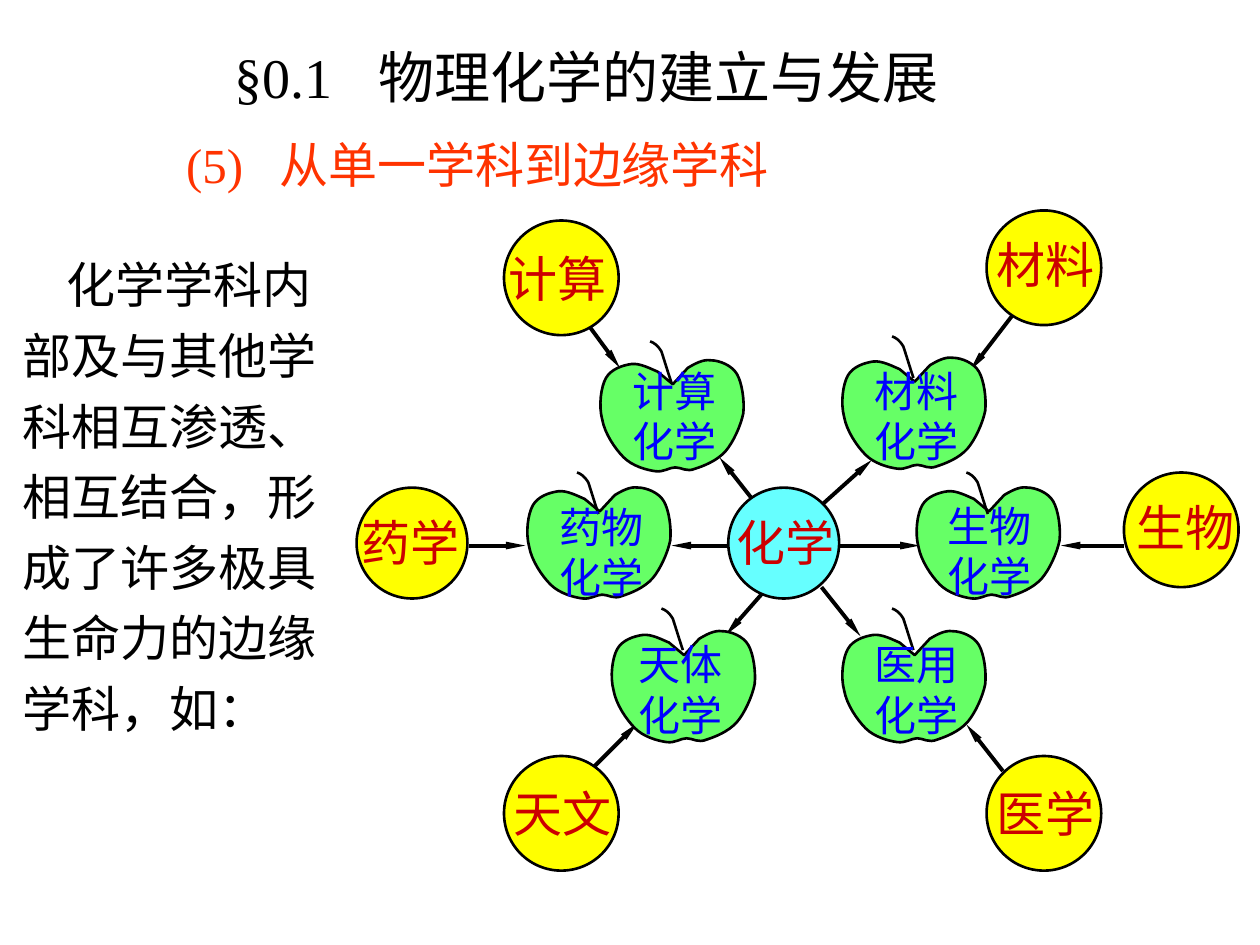
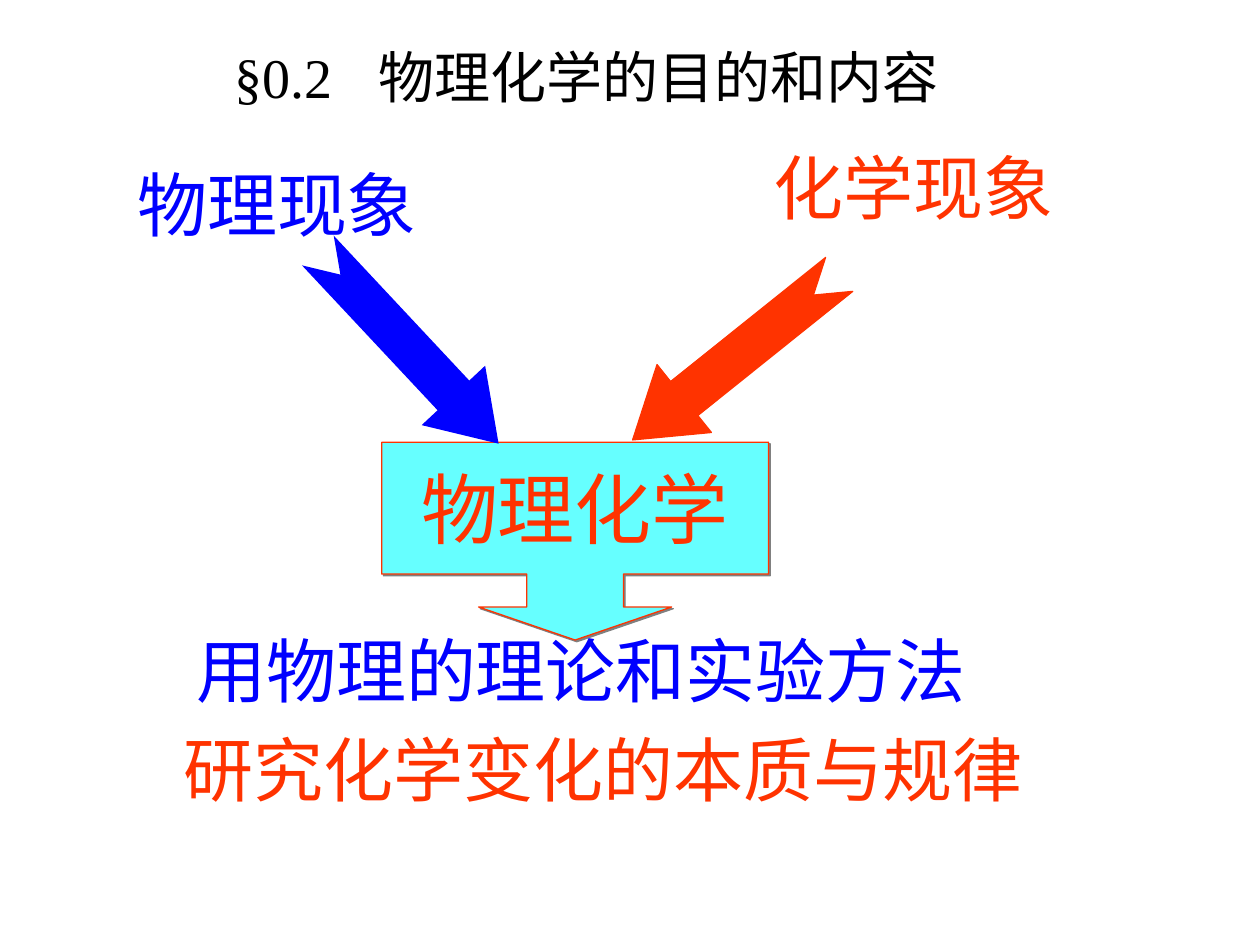
from lxml import etree
from pptx import Presentation
from pptx.dml.color import RGBColor
from pptx.enum.shapes import MSO_CONNECTOR as Line, MSO_SHAPE as Shape
from pptx.enum.text import MSO_ANCHOR as Anchor, MSO_AUTO_SIZE as Fit, PP_ALIGN as Align
from pptx.oxml.ns import qn
from pptx.util import Inches, Pt

BLACK = RGBColor(0, 0, 0)
RED = RGBColor(0xCC, 0, 0)
ORANGE = RGBColor(0xFF, 0x33, 0)
BLUE = RGBColor(0, 0, 0xFF)
YELLOW = RGBColor(0xFF, 0xFF, 0)
CYAN = RGBColor(0x66, 0xFF, 0xFF)
GREEN = RGBColor(0x66, 0xFF, 0x66)

LATIN, HAN, SANS = "Times New Roman", "Noto Sans CJK SC", "Arial"

# Each curve: a start point, then Bézier pieces of two handles and an end.
APPLE = [
    (.47, .10), (.42, .08), (.33, .03), (.26, .04), (.19, .05), (.10, .08), (.06, .15),
    (.02, .22), (0, .37), (.03, .48), (.05, .59), (.13, .71), (.20, .78),
    (.27, .85), (.38, .88), (.45, .89), (.52, .90), (.56, .86), (.61, .86),
    (.66, .86), (.70, .90), (.77, .87), (.83, .85), (.94, .81), (1.01, .73),
    (1.07, .66), (1.13, .53), (1.15, .43), (1.16, .33), (1.14, .19), (1.10, .12),
    (1.06, .05), (.96, .01), (.89, .01), (.83, 0), (.76, .04), (.71, .07),
]
CLEFT = (.59, .20)
STEM = [(.17, .33), (.14, .24), (.11, .14), (.09, .08), (.06, .03), (.03, .01), (0, 0)]

# Name, apple corner, stem corner, text corner
FRUITS = [
    ("计算", (4.75, 2.85), (5.16, 2.71), (4.92, 2.85)),
    ("生物", (7.26, 3.86), (7.67, 3.75), (7.42, 3.92)),
    ("药物", (4.17, 3.86), (4.58, 3.75), (4.34, 3.93)),
    ("材料", (6.67, 2.83), (7.08, 2.67), (6.84, 2.85)),
    ("天体", (4.84, 5), (5.25, 4.83), (4.97, 5.02)),
    ("医用", (6.67, 5), (7.08, 4.83), (6.84, 5.02)),
]
# Name, circle corner, diameter, text corner, fill
FIELDS = [
    ("生物", (8.92, 3.75), .91, (8.92, 3.9), YELLOW),
    ("药学", (2.83, 3.87), .88, (2.77, 4.02), YELLOW),
    ("天文", (4, 6), .91, (3.98, 6.17), YELLOW),
    ("医学", (7.83, 6), .91, (7.81, 6.17), YELLOW),
    ("化学", (5.78, 3.87), .88, (5.75, 4.02), CYAN),
    ("计算", (4, 1.75), .91, (3.94, 1.92), YELLOW),
    ("材料", (7.83, 1.67), .91, (7.81, 1.81), YELLOW),
]
ARROWS = [
    ((6.67, 4.33), (7.3, 4.33)), ((8.92, 4.33), (8.42, 4.33)),
    ((6.53, 4), (6.92, 3.65)), ((8.03, 2.51), (7.7, 2.94)),
    ((5.97, 3.96), (5.71, 3.63)), ((4.67, 2.58), (4.92, 2.92)),
    ((5.78, 4.33), (5.33, 4.33)), ((3.72, 4.33), (4.17, 4.33)),
    ((6.05, 4.71), (5.76, 5.04)), ((4.69, 6.11), (5.06, 5.74)),
    ((7.96, 6.12), (7.67, 5.75)), ((6.52, 4.66), (6.83, 5.05)),
]


def add_run(para, text, size, color, font):
    run = para.add_run()
    run.text = text
    run.font.size = Pt(size)
    run.font.color.rgb = color
    run.font.name = font
    if font == HAN:
        etree.SubElement(run.font._element, qn("a:ea"), typeface=HAN)


def set_tab(para, pos):
    tabs = etree.SubElement(para._p.get_or_add_pPr(), qn("a:tabLst"))
    etree.SubElement(tabs, qn("a:tab"), pos=str(Inches(pos)), algn="l")


def place(shape, left, top, width, height):
    shape.left, shape.top = Inches(left), Inches(top)
    shape.width, shape.height = Inches(width), Inches(height)


def set_frame(frame, pad=.05):
    frame.margin_left = frame.margin_right = Inches(.1)
    frame.margin_top = frame.margin_bottom = Inches(pad)
    frame.vertical_anchor = Anchor.TOP
    frame.word_wrap = True
    frame.auto_size = Fit.NONE


def add_head(para, mark, text, size, color, tab):
    """Fill a heading: its number, a tab, then its words."""
    para.alignment = Align.LEFT
    set_tab(para, tab)
    add_run(para, mark + "\t", size, color, LATIN)
    add_run(para, text, size, color, HAN)


def add_title(slide, mark, text):
    title = slide.shapes.title
    place(title, 1.76, .29, 6, .64)
    set_frame(title.text_frame)
    add_head(title.text_frame.paragraphs[0], mark, text, 32, BLACK, 1.14)


def add_box(slide, at, pad=.05):
    box = slide.shapes.add_textbox(*map(Inches, at))
    set_frame(box.text_frame, pad)
    return box.text_frame


def add_label(slide, at, lines, size, color, font=HAN):
    frame = add_box(slide, at)
    for i, line in enumerate(lines):
        para = frame.add_paragraph() if i else frame.paragraphs[0]
        add_run(para, line, size, color, font)


def paint(shape, fill=None, line=None, width=1.5):
    shape.shadow.inherit = False
    if fill is None:
        shape.fill.background()
    else:
        shape.fill.solid()
        shape.fill.fore_color.rgb = fill
    if line is None:
        shape.line.fill.background()
    else:
        shape.line.color.rgb = line
        shape.line.width = Pt(width)


def bend(shape, count):
    """Turn each three of the first count line segments into a Bézier piece."""
    links = list(shape._element.iter(qn("a:lnTo")))[:count]
    for i in range(0, count, 3):
        curve = etree.Element(qn("a:cubicBezTo"))
        links[i].addprevious(curve)
        for link in links[i:i + 3]:
            curve.append(link[0])
            link.getparent().remove(link)


def draw(slide, curve, corner, fill=None, corners=()):
    """Draw a curve; corners close it with straight sides."""
    spots = [(Inches(corner[0] + x), Inches(corner[1] + y)) for x, y in (*curve, *corners)]
    pen = slide.shapes.build_freeform(*spots[0])
    pen.add_line_segments(spots[1:], close=bool(corners))
    shape = pen.convert_to_shape()
    bend(shape, len(curve) - 1)
    paint(shape, fill, BLACK)


def add_fruit(slide, name, apple, stem, label):
    draw(slide, APPLE, apple, GREEN, (CLEFT,))
    draw(slide, STEM, stem)
    add_label(slide, (*label, .92, .9), (name, "化学"), 24, BLUE, SANS)


def add_field(slide, name, corner, size, label, fill):
    disc = slide.shapes.add_shape(Shape.OVAL, *map(Inches, (*corner, size, size)))
    paint(disc, fill, BLACK)
    add_label(slide, (*label, 1.03, .57), (name,), 28, RED, SANS)


def add_arrow(slide, start, end):
    link = slide.shapes.add_connector(Line.STRAIGHT, *map(Inches, (*start, *end)))
    link.line.color.rgb = BLACK
    link.line.width = Pt(2.25)
    etree.SubElement(link.line._get_or_add_ln(), qn("a:tailEnd"),
                     type="triangle", w="sm", len="lg")
    etree.SubElement(link._element.spPr, qn("a:effectLst"))


def add_pointer(slide, left, top, turn, color, line=None):
    arrow = slide.shapes.add_shape(Shape.NOTCHED_RIGHT_ARROW,
                                   *map(Inches, (left, top, 2.1, .69)))
    arrow.adjustments[0], arrow.adjustments[1] = .5, .76
    arrow.rotation = turn
    paint(arrow, color, line, .75)


def add_callout(slide):
    box = slide.shapes.add_shape(Shape.DOWN_ARROW_CALLOUT,
                                 *map(Inches, (3.03, 3.51, 3.07, 1.57)))
    for i, value in enumerate((.488, .488, .167, .667)):
        box.adjustments[i] = value
    paint(box, CYAN, ORANGE, .75)
    effects = box._element.spPr.find(qn("a:effectLst"))
    shade = etree.SubElement(effects, qn("a:outerShdw"), blurRad="0",
                             dist=str(Pt(1.4)), dir="2700000", algn="ctr", rotWithShape="0")
    etree.SubElement(shade, qn("a:srgbClr"), val="808080")
    frame = box.text_frame
    set_frame(frame)
    frame.word_wrap = False
    frame.vertical_anchor = Anchor.MIDDLE
    para = frame.paragraphs[0]
    para.alignment = Align.CENTER
    add_run(para, "物理化学", 44, ORANGE, HAN)


def add_body(slide, text):
    body = slide.placeholders[1]
    place(body, .08, 1.93, 2.67, 3.92)
    set_frame(body.text_frame, 0)
    para = body.text_frame.paragraphs[0]
    para.line_spacing = 1.2
    para.space_before = Pt(0)
    props = para._p.get_or_add_pPr()
    props.set("marL", "0")
    props.set("indent", str(Inches(.35)))
    etree.SubElement(props, qn("a:buNone"))
    add_run(para, text, 28, BLACK, HAN)


def build_growth(deck):
    slide = deck.slides.add_slide(deck.slide_layouts[1])
    add_title(slide, "§0.1", "物理化学的建立与发展")
    frame = add_box(slide, (1.38, 1.07, 5, .47), 0)
    add_head(frame.paragraphs[0], "(5)", "从单一学科到边缘学科", 28, ORANGE, .74)
    add_body(slide, "化学学科内部及与其他学科相互渗透、相互结合，"
                    "形成了许多极具生命力的边缘学科，如：")
    for arrow in ARROWS:
        add_arrow(slide, *arrow)
    for field in FIELDS:
        add_field(slide, *field)
    for fruit in FRUITS:
        add_fruit(slide, *fruit)


def build_goal(deck):
    slide = deck.slides.add_slide(deck.slide_layouts[5])
    add_title(slide, "§0.2", "物理化学的目的和内容")
    add_callout(slide)
    add_pointer(slide, 2.19, 2.41, 46.9, BLUE)
    add_pointer(slide, 4.79, 2.49, 141.3, ORANGE, ORANGE)
    for text, left, top, width, color in (
        ("用物理的理论和实验方法", 1.46, 4.93, 6.4, BLUE),
        ("研究化学变化的本质与规律", 1.36, 5.72, 6.96, ORANGE),
        ("物理现象", .99, 1.23, 2.52, BLUE),
        ("化学现象", 6.04, 1.1, 2.52, ORANGE),
    ):
        add_label(slide, (left, top, width, .77), (text,), 40, color)


def main():
    deck = Presentation()
    deck.slide_width, deck.slide_height = Inches(10), Inches(7.5)
    build_growth(deck)
    build_goal(deck)
    deck.save("out.pptx")


if __name__ == "__main__":
    main()
